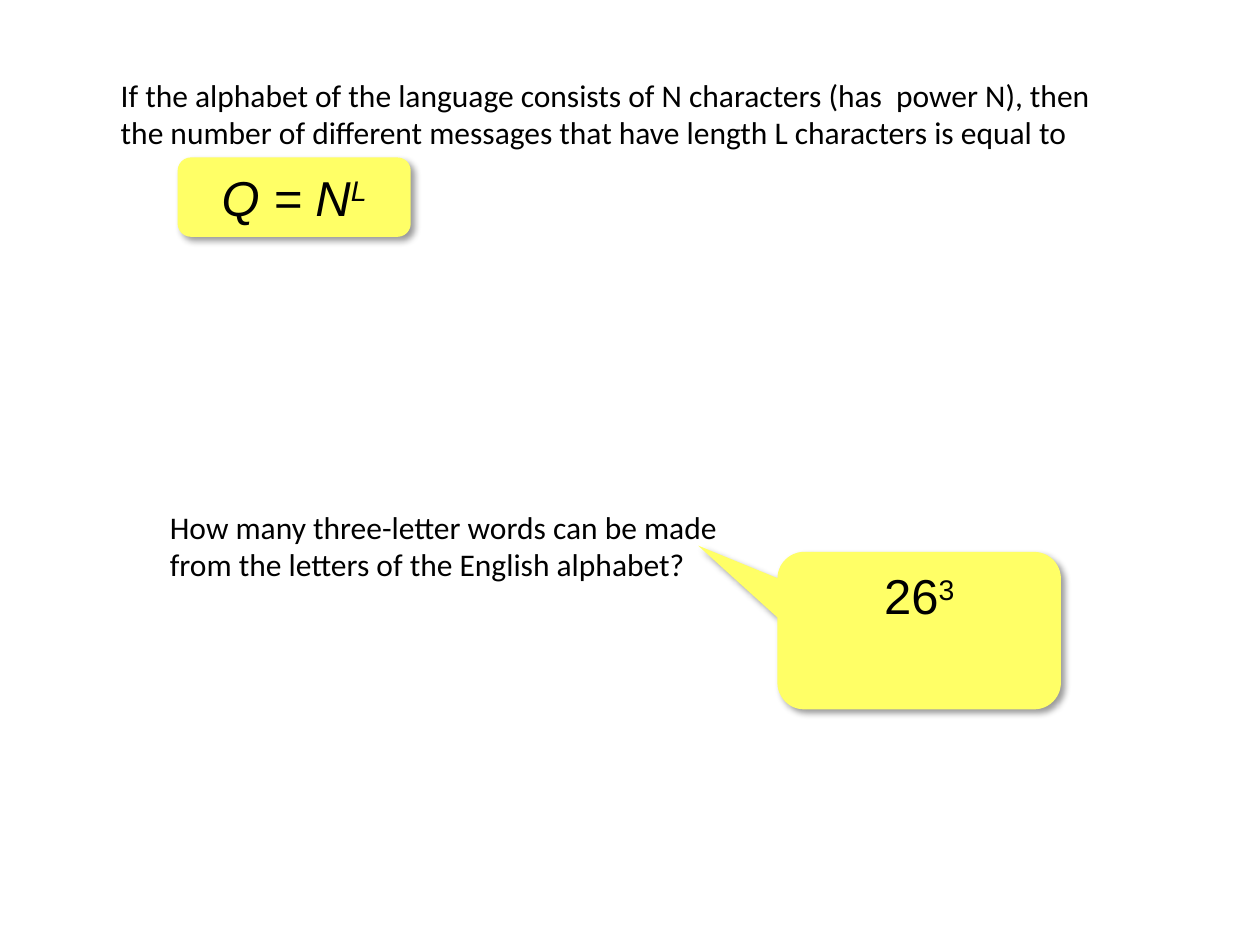
from lxml.etree import SubElement
from pptx import Presentation
from pptx.dml.color import RGBColor
from pptx.enum.shapes import MSO_SHAPE
from pptx.enum.text import MSO_ANCHOR, MSO_AUTO_SIZE, PP_ALIGN
from pptx.oxml.ns import qn
from pptx.util import Inches, Pt

CELL = 0.25
BLACK, YELLOW = "000000", "FFFF66"


def rgb(value):
    """Turn a hex string into a colour."""
    return RGBColor.from_string(value)


def place(box, col, row, cols, rows):
    """Give the slide position of a grid area relative to a region's box."""
    cells = (box[0] + col, box[1] + row, cols, rows)
    return [Inches(n * CELL) for n in cells]


def style(r, font, size, italic=False):
    """Set the font of a run."""
    r.font.name, r.font.size, r.font.italic = font, Pt(size), italic
    r.font.color.rgb = rgb(BLACK)


def add_shadow(sp):
    """Give a shape a soft shadow to its lower right."""
    sp.shadow.inherit = False
    effects = sp._element.spPr.find(qn("a:effectLst"))
    shadow = SubElement(effects, qn("a:outerShdw"), blurRad=str(Pt(4)),
                        dist=str(Pt(3)), dir="2700000", algn="tl", rotWithShape="0")
    color = SubElement(shadow, qn("a:srgbClr"), val=BLACK)
    SubElement(color, qn("a:alpha"), val="40000")


def add_text(s, area, text):
    """Add a wrapped body text box."""
    tf = s.shapes.add_textbox(*area).text_frame
    tf.word_wrap = True
    tf.auto_size = MSO_AUTO_SIZE.SHAPE_TO_FIT_TEXT
    tf.text = text
    style(tf.paragraphs[0].runs[0], "Calibri", 18)


def add_power(s, kind, area, base, exponent, italic=False):
    """Add a yellow shape showing a base with a raised exponent."""
    sp = s.shapes.add_shape(kind, *area)
    sp.fill.solid()
    sp.fill.fore_color.rgb = rgb(YELLOW)
    sp.line.fill.background()
    add_shadow(sp)
    tf = sp.text_frame
    tf.word_wrap = True
    tf.vertical_anchor = MSO_ANCHOR.TOP
    p = tf.paragraphs[0]
    p.alignment = PP_ALIGN.CENTER
    for text in (base, exponent):
        r = p.add_run()
        r.text = text
        style(r, "Arial", 28, italic)
    r.font._element.set("baseline", "30000")
    return sp


def add_rule(s, box):
    """Place the counting rule with its formula below."""
    add_text(s, place(box, 0, 0, box[2], 2.84),
             "If the alphabet of the language consists of N characters (has  power N), "
             "then the number of different messages that have length L characters "
             "is equal to")
    add_power(s, MSO_SHAPE.ROUNDED_RECTANGLE, place(box, 2.2, 2.8, 7.4, 2.52),
              "Q = N", "L", italic=True)


def add_question(s, box):
    """Place the question with its answer in a callout at the lower right."""
    cols, rows = 9, 5
    sp = add_power(s, MSO_SHAPE.ROUNDED_RECTANGULAR_CALLOUT,
                   place(box, box[2] - cols, box[3] - rows, cols, rows), "26", "3")
    for i, value in enumerate((-0.78, -0.54, 0.17)):
        sp.adjustments[i] = value
    add_text(s, place(box, 0, 0, 18.76, 2.84),
             "How many three-letter words can be made from the letters "
             "of the English alphabet?")


def main():
    """Build and save the slide."""
    prs = Presentation()
    prs.slide_width, prs.slide_height = Inches(10), Inches(7.5)
    s = prs.slides.add_slide(prs.slide_layouts[6])
    add_rule(s, (3.44, 2.2, 32.8, 5.32))
    add_question(s, (5, 15.92, 28.68, 6.6))
    prs.save("out.pptx")


if __name__ == "__main__":
    main()
